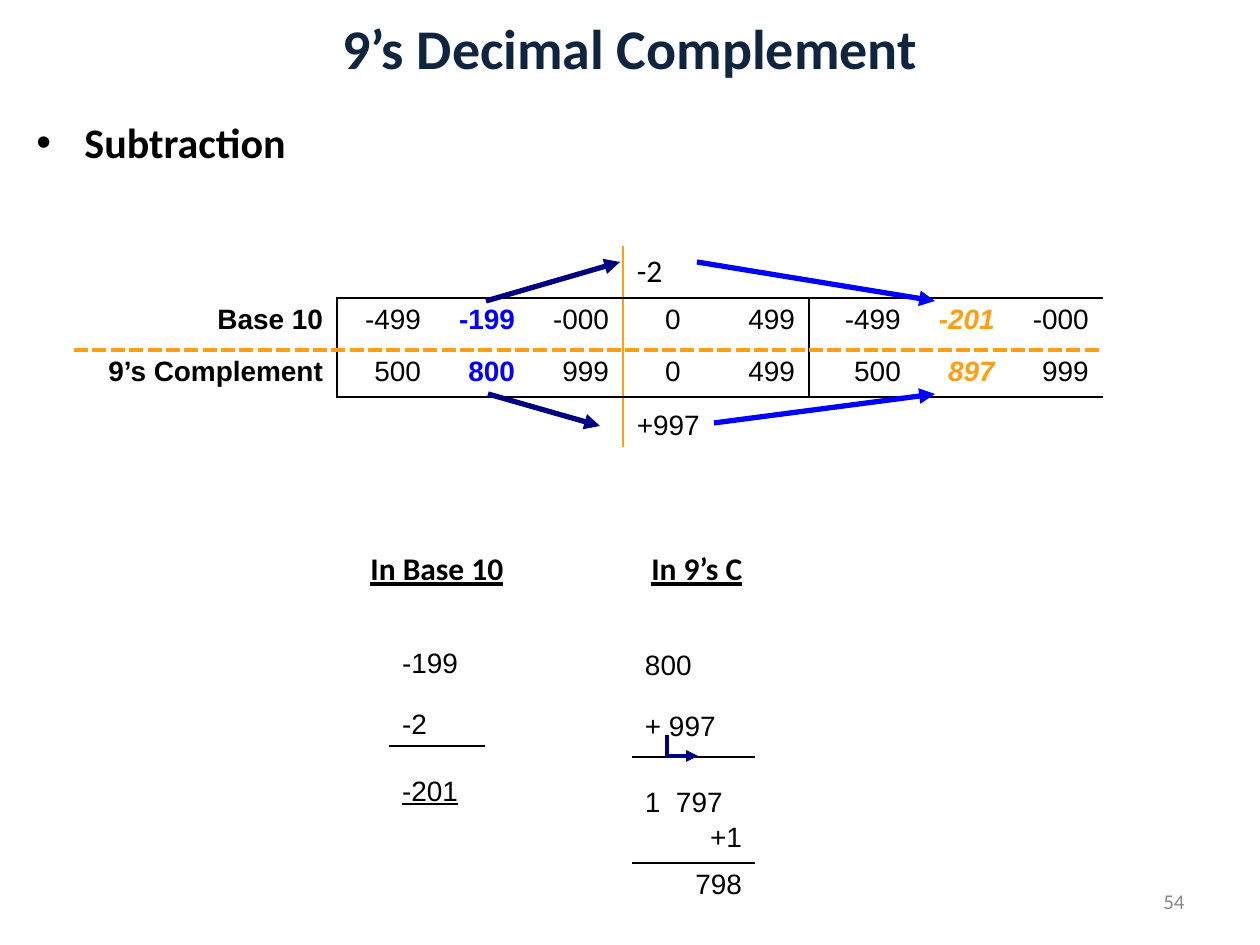
from dataclasses import dataclass

from lxml.etree import SubElement
from pptx import Presentation
from pptx.dml.color import RGBColor
from pptx.enum.shapes import MSO_CONNECTOR
from pptx.enum.text import MSO_ANCHOR, PP_ALIGN
from pptx.oxml.ns import qn
from pptx.util import Emu, Pt

PX = 914400 // 126
BLACK, NAVY, BLUE, ORANGE = "000000", "000080", "0000FF", "FF9F11"
LEFT, CENTER, RIGHT = PP_ALIGN.LEFT, PP_ALIGN.CENTER, PP_ALIGN.RIGHT
TOP, MIDDLE, BOTTOM = MSO_ANCHOR.TOP, MSO_ANCHOR.MIDDLE, MSO_ANCHOR.BOTTOM
SIDES = ("L", "R", "T", "B")

ARIAL = dict(name="Arial", size=Pt(16), bold=False, italic=False, color=BLACK)
BOLD = ARIAL | dict(bold=True)
NEGATIVE = BOLD | dict(color=BLUE)
RESULT = BOLD | dict(color=ORANGE, italic=True)
UNDERLINED = ARIAL | dict(underline=True)
CALIBRI = dict(name="Calibri", size=Pt(18), color=BLACK)
HEADING = CALIBRI | dict(bold=True, underline=True)


@dataclass
class Border:
    color: str
    points: float
    dash: str = "solid"


@dataclass
class Arrow:
    start: tuple[int, int]
    end: tuple[int, int]
    color: str
    points: float = 3
    head: bool = True


@dataclass
class Step:
    """One row of a worked sum."""
    height: int
    lines: tuple[str, ...] = ("",)
    fmt: dict = None
    align: PP_ALIGN = LEFT
    anchor: MSO_ANCHOR = BOTTOM
    bottom: int = 6
    spacing: float = 1.0
    ruled: bool = False


def px(n: int) -> Emu:
    return Emu(n * PX)


def rgb(value: str) -> RGBColor:
    return RGBColor.from_string(value)


def write(p, text: str, fmt: dict, align=LEFT) -> None:
    p.alignment = align
    r = p.add_run()
    r.text = text
    for key, value in fmt.items():
        if key == "color":
            r.font.color.rgb = rgb(value)
        else:
            setattr(r.font, key, value)


def add_text(s, box, text: str, fmt: dict, align=LEFT, anchor=TOP, wrap=True):
    tf = s.shapes.add_textbox(*map(px, box)).text_frame
    tf.word_wrap, tf.vertical_anchor = wrap, anchor
    write(tf.paragraphs[0], text, fmt, align)
    return tf.paragraphs[0]


def add_arrows(s, arrows: list[Arrow]) -> None:
    group = s.shapes.add_group_shape()
    for a in arrows:
        c = group.shapes.add_connector(MSO_CONNECTOR.STRAIGHT, *map(px, a.start + a.end))
        c.line.color.rgb = rgb(a.color)
        c.line.width = Pt(a.points)
        if a.head:
            SubElement(c.line._get_or_add_ln(), qn("a:tailEnd"), type="triangle")
        SubElement(c._element.spPr, qn("a:effectLst"))


def add_table(s, left: int, top: int, widths: list[int], heights: list[int]):
    frame = s.shapes.add_table(len(heights), len(widths), px(left), px(top),
                               px(sum(widths)), px(sum(heights)))
    table = frame.table
    table.first_row = table.horz_banding = False
    for col, width in zip(table.columns, widths):
        col.width = px(width)
    for row, height in zip(table.rows, heights):
        row.height = px(height)
    return table


def set_borders(cell, borders: dict[str, Border]) -> None:
    cell.fill.background()
    tc_pr = cell._tc.get_or_add_tcPr()
    for i, side in enumerate(SIDES):
        border = borders.get(side)
        ln = SubElement(tc_pr, qn(f"a:ln{side}"))
        tc_pr.insert(i, ln)
        if border is None:
            SubElement(ln, qn("a:noFill"))
            continue
        ln.set("w", str(Pt(border.points)))
        SubElement(SubElement(ln, qn("a:solidFill")), qn("a:srgbClr"), val=border.color)
        SubElement(ln, qn("a:prstDash"), val=border.dash)


THIN = Border(BLACK, 1)
AXIS = Border(ORANGE, 1.5)
DASHED = Border(ORANGE, 3, "sysDash")


def scale_borders(row: int, col: int) -> dict[str, Border]:
    def upright(edge):
        if edge == 4:
            return AXIS
        return THIN if edge in (1, 6) and row in (1, 2) else None

    def level(edge):
        if edge == 2:
            return DASHED
        return THIN if edge in (1, 3) and col > 0 else None

    return dict(L=upright(col), R=upright(col + 1), T=level(row), B=level(row + 1))


def add_scale(s) -> None:
    rows = [
        ["", "", "", "", "-2", "", "", "", ""],
        ["Base 10", "-499", "-199", "-000", "0", "499", "-499", "-201", "-000"],
        ["9’s Complement", "500", "800", "999", "0", "499", "500", "897", "999"],
        ["", "", "", "", "+997", "", "", "", ""],
    ]
    column_formats = {0: BOLD, 2: NEGATIVE, 7: RESULT}
    table = add_table(s, 74, 246, [263, 98, 94, 94, 100, 86, 106, 94, 94], [52, 52, 47, 46])
    for i, row in enumerate(rows):
        for j, text in enumerate(row):
            cell = table.cell(i, j)
            cell.margin_left = cell.margin_right = px(14)
            cell.vertical_anchor = BOTTOM if i == 3 else TOP
            fmt = CALIBRI if text == "-2" else column_formats.get(j, ARIAL)
            align = LEFT if i in (0, 3) else CENTER if j == 4 else RIGHT
            write(cell.text_frame.paragraphs[0], text, fmt, align)
            set_borders(cell, scale_borders(i, j))
    for first, last in [((0, 5), (0, 6)), ((2, 0), (3, 0)), ((3, 5), (3, 6))]:
        table.cell(*first).merge(table.cell(*last))


def add_sum(s, left: int, top: int, width: int, steps: list[Step]) -> None:
    table = add_table(s, left, top, [width], [step.height for step in steps])
    for i, step in enumerate(steps):
        cell = table.cell(i, 0)
        cell.margin_left = cell.margin_right = px(13)
        cell.margin_bottom = px(step.bottom)
        cell.vertical_anchor = step.anchor
        tf = cell.text_frame
        for n, text in enumerate(step.lines):
            p = tf.add_paragraph() if n else tf.paragraphs[0]
            if "\t" in text:
                tabs = SubElement(p._p.get_or_add_pPr(), qn("a:tabLst"))
                SubElement(tabs, qn("a:tab"), pos=str(px(31)), algn="l")
            p.line_spacing = step.spacing
            if n:
                p.space_before = Pt(17)
            write(p, text, step.fmt or ARIAL, step.align)
        below = i + 1 < len(steps) and steps[i + 1].ruled
        set_borders(cell, dict(T=THIN if step.ruled else None, B=THIN if below else None))


def main() -> None:
    prs = Presentation()
    prs.slide_width, prs.slide_height = px(1260), px(945)
    s = prs.slides.add_slide(prs.slide_layouts[5])

    # Title
    title = s.shapes.title
    title.left, title.top, title.width, title.height = map(px, (0, 0, 1260, 95))
    title.text_frame.vertical_anchor = MIDDLE
    write(title.text_frame.paragraphs[0], "9’s Decimal Complement",
          dict(name="Calibri", size=Pt(32), bold=True, color="0F243E"), CENTER)

    # Bullet and slide number
    p = add_text(s, (24, 116, 1103, 168), "Subtraction", CALIBRI | dict(size=Pt(24), bold=True))
    p.line_spacing = 0.9
    p_pr = p._p.get_or_add_pPr()
    p_pr.set("marL", str(px(48)))
    p_pr.set("indent", str(px(-48)))
    SubElement(p_pr, qn("a:buFont"), typeface="Arial")
    SubElement(p_pr, qn("a:buChar"), char="•")
    add_text(s, (903, 876, 294, 50), "54", dict(name="Calibri", size=Pt(12), color="898989"),
             RIGHT, MIDDLE)

    # Number scale with its arrows
    add_scale(s)
    add_arrows(s, [
        Arrow((486, 301), (620, 262), NAVY),
        Arrow((697, 262), (935, 301), BLUE),
        Arrow((488, 394), (600, 426), NAVY),
        Arrow((714, 423), (935, 394), BLUE),
    ])

    # Worked sums
    add_text(s, (358, 543, 160, 50), "In Base 10", HEADING, wrap=False)
    add_sum(s, 389, 609, 96, [
        Step(137, ("-199", "-2")),
        Step(67, ("-201",), UNDERLINED, ruled=True),
        Step(47),
    ])
    add_text(s, (639, 543, 116, 50), "In 9’s C", HEADING, wrap=False)
    add_sum(s, 632, 611, 123, [
        Step(146, ("800", "+ 997"), bottom=15),
        Step(67, ("1\t797",), ruled=True),
        Step(39, ("+1",), align=RIGHT, anchor=TOP, spacing=0.7),
        Step(47, ("798",), align=RIGHT, anchor=TOP, ruled=True),
    ])

    # End-around carry
    add_arrows(s, [
        Arrow((667, 735), (667, 756), NAVY, 2.25, head=False),
        Arrow((667, 756), (698, 756), NAVY, 2.25),
    ])
    prs.save("out.pptx")


if __name__ == "__main__":
    main()
